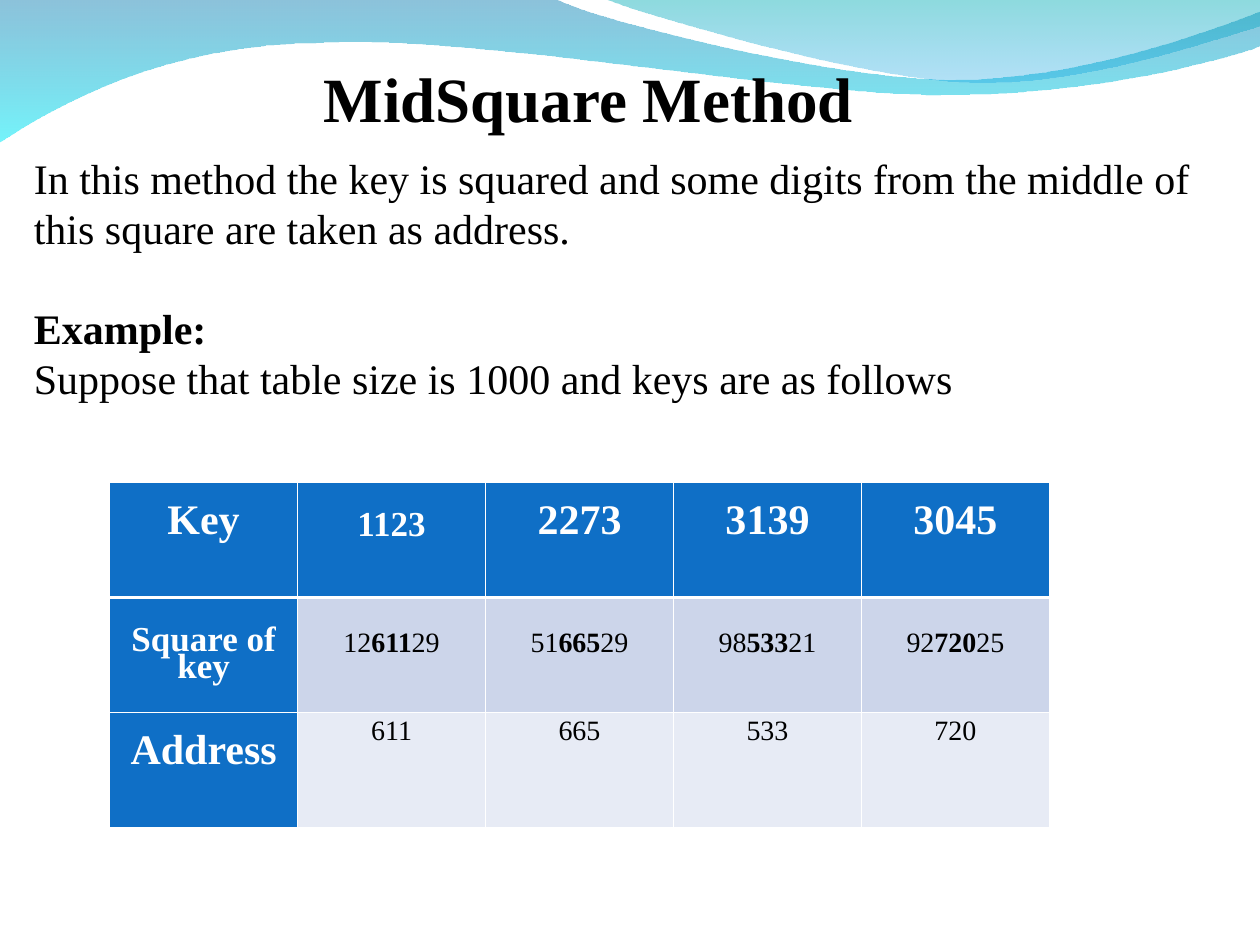
"""Build the MidSquare Method slide with python-pptx."""
from dataclasses import dataclass
from typing import Any

from lxml.etree import SubElement
from pptx import Presentation
from pptx.dml.color import RGBColor
from pptx.enum.text import MSO_ANCHOR as ANCHOR, PP_ALIGN as ALIGN
from pptx.oxml.ns import qn
from pptx.util import Inches, Pt

FONT = "Times New Roman"
BLUE, WHITE, BLACK = "0F6FC6", "FFFFFF", "000000"
THIN, THICK = 0.45, 1.47
BLANK_LINE = 15.7 / 72
Point = tuple[float, float]


@dataclass
class Run:
    text: str
    size: float
    bold: bool = False
    color: str = BLACK


@dataclass
class Para:
    lines: list[Run]
    before: float = 0


@dataclass
class Wave:
    start: Point
    segments: list[tuple[Point, ...]]
    stops: list[tuple[str, int]]


@dataclass
class TextBox:
    box: tuple[float, float, float, float]
    paras: list[Para]
    align: Any = ALIGN.LEFT


@dataclass
class Row:
    cells: list[list[Run]]
    fill: str
    value_inset: float = 0.05 + BLANK_LINE


def rgb(code: str) -> RGBColor:
    return RGBColor.from_string(code)


def apply(obj: Any, formats: dict[str, Any]) -> None:
    for name, value in formats.items():
        setattr(obj, name, value)


def curve_segments(sp: Any, segments: list[tuple[Point, ...]]) -> None:
    lines = iter(list(sp.element.iter(qn("a:lnTo"))))
    for seg in segments:
        first, *rest = [next(lines) for _ in seg]
        if rest:
            first.tag = qn("a:cubicBezTo")
            for line in rest:
                first.append(line[0])
                line.getparent().remove(line)


def draw_wave(s: Any, wave: Wave) -> None:
    points = [(Inches(x), Inches(y)) for seg in wave.segments for x, y in seg]
    builder = s.shapes.build_freeform(*map(Inches, wave.start))
    builder.add_line_segments(points, close=True)
    sp = builder.convert_to_shape()
    curve_segments(sp, wave.segments)
    sp.shadow.inherit = False
    sp.fill.gradient()
    sp.fill.gradient_angle = 270
    for stop, (color, _) in zip(sp.fill.gradient_stops, wave.stops):
        stop.color.rgb = rgb(color)
    for clr, (_, alpha) in zip(sp.element.iter(qn("a:srgbClr")), wave.stops):
        SubElement(clr, qn("a:alpha"), val=str(alpha * 1000))
    sp.line.fill.background()


def add_run(p: Any, run: Run) -> None:
    r = p.add_run()
    r.text = run.text
    apply(r.font, {"name": FONT, "size": Pt(run.size), "bold": run.bold})
    r.font.color.rgb = rgb(run.color)


def draw_text(s: Any, item: TextBox) -> None:
    tf = s.shapes.add_textbox(*map(Inches, item.box)).text_frame
    apply(tf, {"word_wrap": True, "vertical_anchor": ANCHOR.TOP})
    for i, para in enumerate(item.paras):
        p = tf.add_paragraph() if i else tf.paragraphs[0]
        apply(p, {"alignment": item.align, "space_before": Pt(para.before)})
        for j, line in enumerate(para.lines):
            if j:
                p.add_line_break()
            add_run(p, line)


def set_borders(cell: Any, widths: dict[str, float]) -> None:
    tc_pr = cell._tc.get_or_add_tcPr()
    for side, width in widths.items():
        ln = SubElement(tc_pr, qn(f"a:ln{side}"), w=str(Pt(width)))
        SubElement(SubElement(ln, qn("a:solidFill")), qn("a:srgbClr"), val=WHITE)


def draw_table(s: Any, rows: list[Row], box: tuple[float, float, float, float]) -> None:
    table = s.shapes.add_table(len(rows), len(rows[0].cells), *map(Inches, box)).table
    for i, row in enumerate(rows):
        for j, runs in enumerate(row.cells):
            cell = table.cell(i, j)
            inset = row.value_inset if j else 0.05 + BLANK_LINE
            apply(cell, {"margin_left": Inches(0.03), "margin_right": Inches(0.03),
                         "margin_top": Inches(inset), "margin_bottom": Inches(0.05),
                         "vertical_anchor": ANCHOR.TOP})
            set_borders(cell, {"L": THIN, "R": THIN, "T": THICK if i == 1 else THIN,
                               "B": THICK if i == 0 else THIN})
            cell.fill.solid()
            cell.fill.fore_color.rgb = rgb(row.fill if j else BLUE)
            p = cell.text_frame.paragraphs[0]
            apply(p, {"alignment": ALIGN.CENTER, "line_spacing": Pt(15.7)})
            for run in runs:
                add_run(p, run)


def heading(text: str, size: float = 24) -> list[Run]:
    return [Run(text, size, True, WHITE)]


def square(start: str, middle: str, end: str) -> list[Run]:
    return [Run(start, 16), Run(middle, 16, True), Run(end, 16)]


WAVES = [
    Wave((0, -0.01),
         [((4.4, -0.01),),
          ((4.76, 0.17), (6.64, 0.63), (7.58, 0.63)),
          ((8.53, 0.63), (9.58, 0.26), (10, 0.09)),
          ((10.01, 0.36),),
          ((9.83, 0.44), (8.7, 0.76), (7.46, 0.75)),
          ((6.22, 0.75), (3.82, 0.28), (2.57, 0.34)),
          ((1.29, 0.35), (0.46, 0.83), (-0.01, 1.13))],
         [("0079AF", 45), ("00EBF8", 55)]),
    Wave((4.79, -0.01),
         [((5.09, 0.11), (6.82, 0.62), (7.69, 0.65)),
          ((8.56, 0.69), (9.61, 0.32), (10, 0.21)),
          ((10, 0),)],
         [("00ADB6", 45), ("009BE5", 30)]),
]
TEXTS = [
    TextBox((0.17, 1.16, 9.58, 2.7), [
        Para([Run("In this method the key is squared and some digits from the middle "
                  "of this square are taken as address.", 24)]),
        Para([Run("Example:", 24, True),
              Run("Suppose that table size is 1000 and keys are as follows", 24)],
             before=28)]),
    TextBox((1.42, 0.42, 6.5, 0.7), [Para([Run("MidSquare Method", 36, True)])],
            ALIGN.CENTER),
]
SQUARES = [("12", "611", "29"), ("51", "665", "29"), ("98", "533", "21"), ("92", "720", "25")]
ROWS = [
    Row([heading("Key"), heading("1123", 20),
         *(heading(key) for key in ("2273", "3139", "3045"))], BLUE),
    Row([heading("Square of key", 20), *(square(*parts) for parts in SQUARES)], "CCD5EA"),
    Row([heading("Address"), *([Run(middle, 16)] for _, middle, _ in SQUARES)],
        "E7EBF5", value_inset=0.05),
]


def main() -> None:
    prs = Presentation()
    apply(prs, {"slide_width": Inches(10), "slide_height": Inches(7.5)})
    s = prs.slides.add_slide(prs.slide_layouts[6])
    for wave in WAVES:
        draw_wave(s, wave)
    draw_table(s, ROWS, (0.87, 3.83, 7.46, 2.74))
    for item in TEXTS:
        draw_text(s, item)
    prs.save("out.pptx")


if __name__ == "__main__":
    main()
